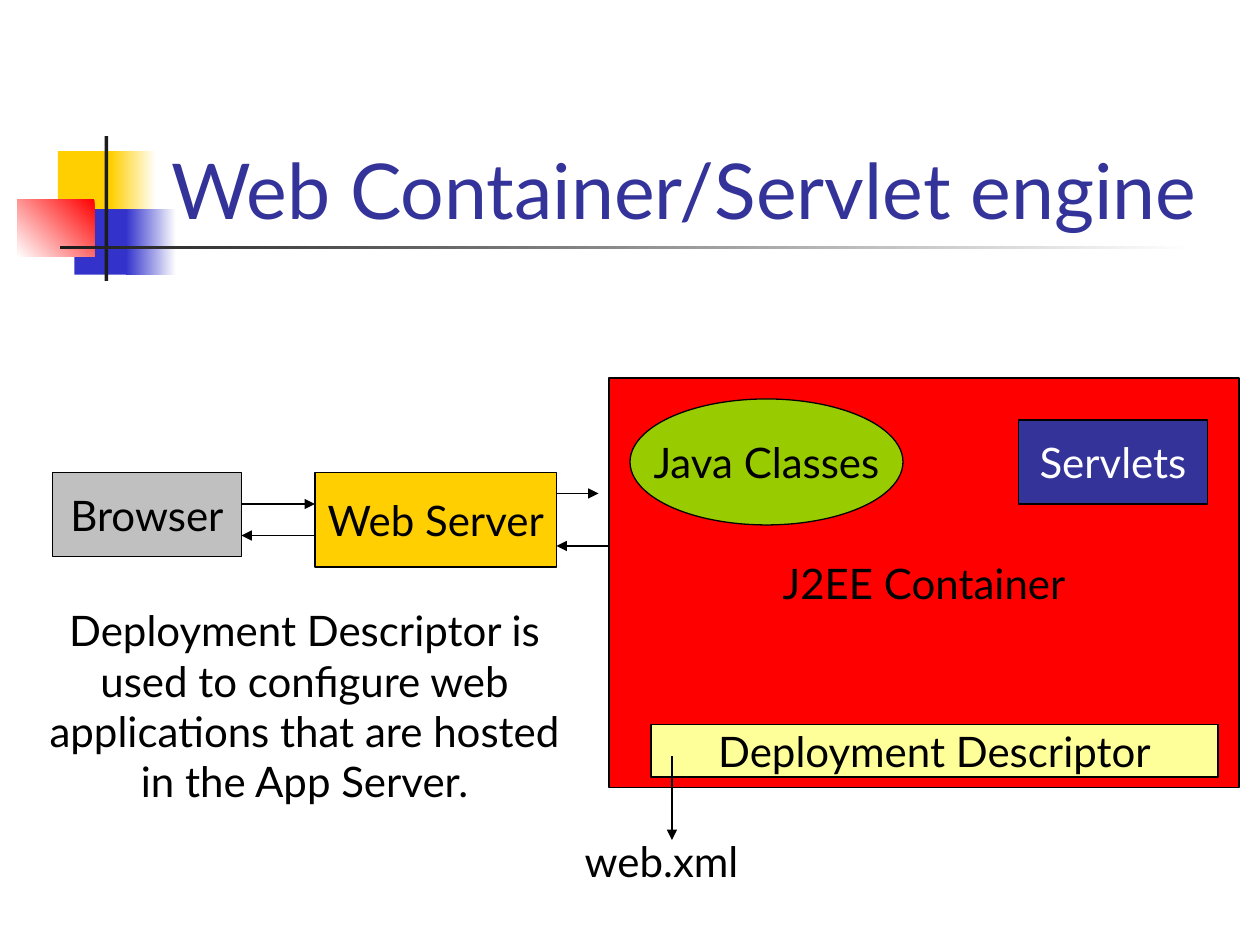
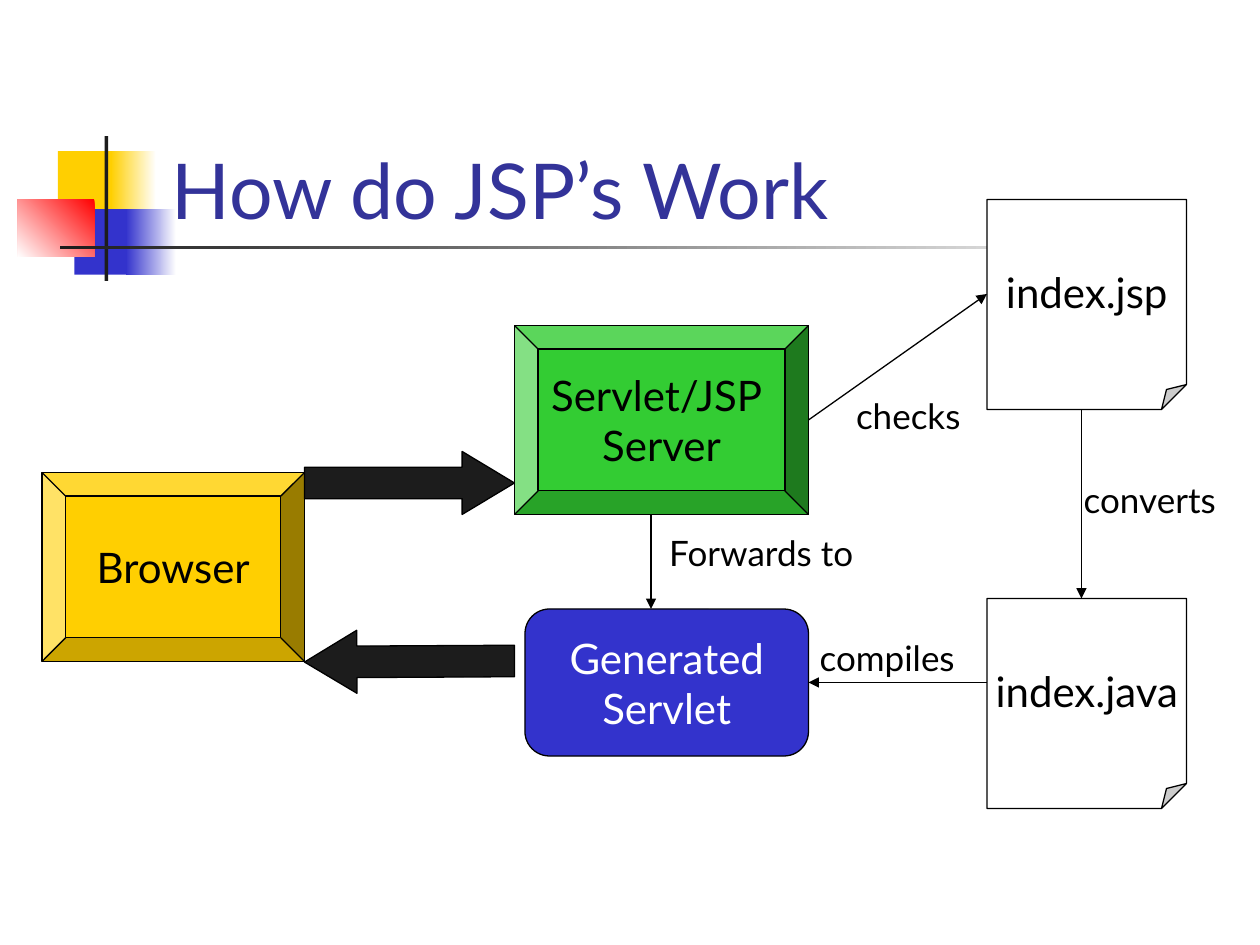
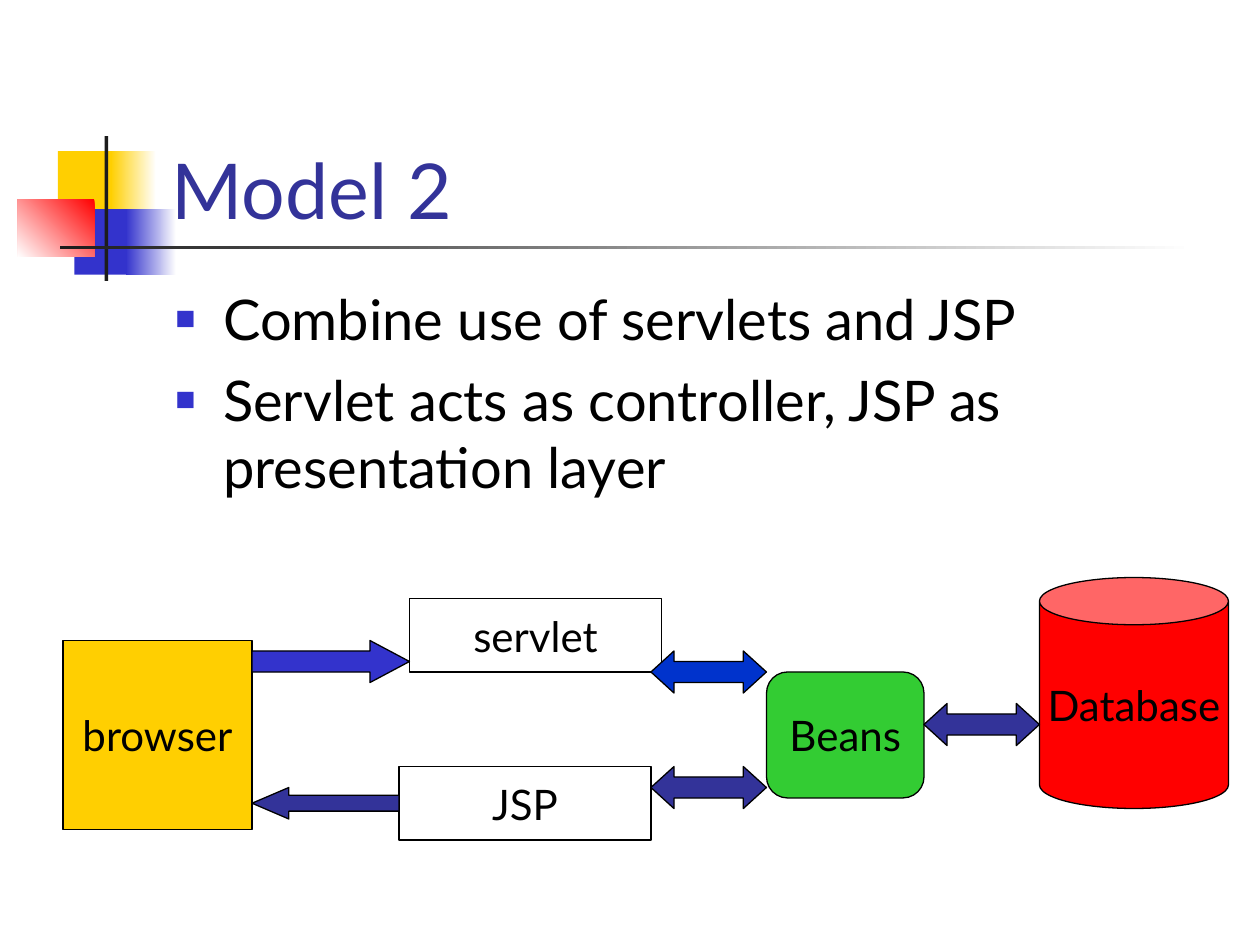
from lxml import etree
from pptx import Presentation
from pptx import util as u
from pptx.dml.color import RGBColor
from pptx.enum import shapes, text
from pptx.oxml.ns import qn

# Grid: 120 columns by 90 rows, so one cell is a twelfth of an inch
COLS, ROWS = 120, 90
CELL = u.Inches(10) // COLS
FONT = "Lato"
C = {
    "white": "FFFFFF", "black": "000000", "ink": "1C1C1C", "grey": "C0C0C0",
    "gold": "FFCF01", "pale": "FFFF99", "red": "FF0000", "green": "33CC33",
    "lime": "99CC00", "blue": "3333CC", "navy": "333399", "azure": "0033CC",
}
KIND = shapes.MSO_SHAPE
ALIGN = text.PP_ALIGN
ANCHOR = text.MSO_ANCHOR


def rgb(name):
    return RGBColor.from_string(C[name])


def cells(*values):
    return [round(v * CELL) for v in values]


def place(sp, box):
    for name, value in zip(("left", "top", "width", "height"), cells(*box)):
        setattr(sp, name, value)


def style_font(font, size, color):
    for name, value in {"name": FONT, "size": u.Pt(size)}.items():
        setattr(font, name, value)
    font.color.rgb = rgb(color)


def write(tf, lines, size=24, color="black", align=ALIGN.CENTER,
          anchor=ANCHOR.TOP, wrap=True):
    """Fill a text frame, one paragraph for each line."""
    settings = {"word_wrap": wrap, "vertical_anchor": anchor,
                "auto_size": text.MSO_AUTO_SIZE.NONE}
    for name, value in settings.items():
        setattr(tf, name, value)
    for i, line in enumerate(lines):
        p = tf.paragraphs[0] if i == 0 else tf.add_paragraph()
        p.alignment = align
        p.space_before = u.Pt(0)
        r = p.add_run()
        r.text = line
        style_font(r.font, size, color)


def outline(line):
    line.color.rgb = rgb("black")
    line.width = u.Pt(0.75)


def adjust(sp, values):
    """Set the preset's guides: adj alone, or adj1, adj2 and so on."""
    guides = sp.element.spPr.find(qn("a:prstGeom")).find(qn("a:avLst"))
    for guide in list(guides):
        guides.remove(guide)
    for i, value in enumerate(values, 1):
        name = f"adj{i}" if len(values) > 1 else "adj"
        etree.SubElement(guides, qn("a:gd"), name=name,
                         fmla=f"val {round(value * 100000)}")


# Elements of the diagrams
def node(s, kind, box, fill, *lines, color="black", adj=(), rotation=0):
    sp = s.shapes.add_shape(kind, *cells(*box))
    sp.shadow.inherit = False
    sp.fill.solid()
    sp.fill.fore_color.rgb = rgb(fill)
    outline(sp.line)
    if adj:
        adjust(sp, adj)
    sp.rotation = rotation
    if lines:
        write(sp.text_frame, lines, color=color, anchor=ANCHOR.MIDDLE, wrap=False)
    return sp


def arrow(s, start, end):
    line = s.shapes.add_connector(shapes.MSO_CONNECTOR.STRAIGHT,
                                  *cells(*start, *end))
    outline(line.line)
    sppr = line.element.spPr
    etree.SubElement(sppr.find(qn("a:ln")), qn("a:tailEnd"), type="triangle")
    etree.SubElement(sppr, qn("a:effectLst"))
    return line


def label(s, box, content, size=24):
    sp = s.shapes.add_textbox(*cells(*box))
    write(sp.text_frame, [content], size)


def bullets(sp, lines):
    place(sp, (15.5, 26.5, 102, 54))
    write(sp.text_frame, lines, size=32, align=ALIGN.LEFT)
    for i, p in enumerate(sp.text_frame.paragraphs):
        p.space_before = u.Pt(8 if i else 0)
        ppr = p._p.get_or_add_pPr()
        indent = u.Inches(0.38)
        ppr.set("marL", str(indent))
        ppr.set("indent", str(-indent))
        color = etree.SubElement(ppr, qn("a:buClr"))
        etree.SubElement(color, qn("a:srgbClr"), val=C["blue"])
        etree.SubElement(ppr, qn("a:buSzPct"), val="60000")
        etree.SubElement(ppr, qn("a:buChar"), char="■")


# Shared look
def add_motif(prs, s):
    """Build the squares and rules on a slide, then hand them to the master."""
    motif = [  # left, top, width, height in inches; colours; angle
        (0.46, 1.2, 0.48, 0.52, ["gold"], 0),
        (0.88, 1.2, 0.36, 0.52, ["white", "gold"], 180),
        (0.59, 1.66, 0.46, 0.52, ["blue"], 0),
        (1, 1.66, 0.4, 0.52, ["white", "blue"], 180),
        (0.14, 1.58, 0.61, 0.46, ["red", "white"], 225),
        (0.83, 1.08, 0.03, 1.15, ["ink"], 0),
        (0.48, 1.95, 9, 0.03, ["white", "ink"], 180),
    ]
    tree = prs.slide_master.shapes.element
    for i, (*box, colors, angle) in enumerate(motif):
        sp = s.shapes.add_shape(KIND.RECTANGLE, *map(u.Inches, box))
        sp.shadow.inherit = False
        sp.line.fill.background()
        if len(colors) == 1:
            sp.fill.solid()
            sp.fill.fore_color.rgb = rgb(colors[0])
        else:
            sp.fill.gradient()
            sp.fill.gradient_angle = angle
            for stop, color in zip(sp.fill.gradient_stops, colors):
                stop.color.rgb = rgb(color)
        tree.insert(2 + i, sp.element)


def new_slide(prs, title, layout=5):
    s = prs.slides.add_slide(prs.slide_layouts[layout])
    place(s.shapes.title, (15.12, 8, 102.24, 15))
    write(s.shapes.title.text_frame, [title], 44, "navy", ALIGN.LEFT,
          ANCHOR.BOTTOM)
    return s


# Slides
def container_slide(prs):
    s = new_slide(prs, "Web Container/Servlet engine")
    add_motif(prs, s)
    rect = KIND.RECTANGLE
    node(s, rect, (58, 36, 60, 39), "red", "J2EE Container")
    node(s, rect, (5, 45, 18, 8), "grey", "Browser")
    node(s, rect, (97, 40, 18, 8), "navy", "Servlets", color="white")
    node(s, rect, (30, 45, 23, 9), "gold", "Web Server")
    node(s, rect, (62, 69, 54, 5), "pale", "Deployment Descriptor")
    node(s, KIND.OVAL, (60, 38, 26, 12), "lime", "Java Classes")
    for start, end in [((23, 48), (30, 48)), ((30, 51), (23, 51)),
                       ((53, 47), (57, 47)), ((58, 52), (53, 52)),
                       ((64, 72), (64, 80))]:
        arrow(s, start, end)
    label(s, (52, 79, 22, 6), "web.xml")
    label(s, (3, 57, 52, 20.4), "Deployment Descriptor is used to configure "
          "web applications that are hosted in the App Server.")


def jsp_slide(prs):
    s = new_slide(prs, "How do JSP’s Work")
    node(s, KIND.BEVEL, (4, 45, 25, 18), "gold", "Browser", adj=[0.125])
    node(s, KIND.BEVEL, (49, 31, 28, 18), "green", "Servlet/JSP ", "Server",
         adj=[0.125])
    for top, rotation in [(43, 0), (60, 179.7)]:
        node(s, KIND.RIGHT_ARROW, (29, top, 20, 6), "ink", adj=[0.5, 0.83],
             rotation=rotation)
    servlet = node(s, KIND.ROUNDED_RECTANGLE, (50, 58, 27, 14), "blue",
                   "Generated", "Servlet", color="white", adj=[0.167])
    for top, name in [(19, "index.jsp"), (57, "index.java")]:
        node(s, KIND.FOLDED_CORNER, (94, top, 19, 20), "white", name, adj=[0.125])
    for start, end in [((77, 40), (94, 28)), ((103, 39), (103, 57)),
                       ((62, 49), (62, 58))]:
        arrow(s, start, end)
    arrow(s, (94, 65), (77, 65)).end_connect(servlet, 3)
    for left, top, step in [(74, 60, "compiles"), (76, 37, "checks"),
                            (99, 45, "converts"), (62, 50, "Forwards to")]:
        label(s, (left, top, 21, 5.3), step, size=20)


def model_slide(prs):
    s = new_slide(prs, "Model 2", layout=1)
    bullets(s.placeholders[1], ["Combine use of servlets and JSP",
                                "Servlet acts as controller, JSP as presentation layer"])
    node(s, KIND.RECTANGLE, (6, 61, 18, 18), "gold", "browser")
    node(s, KIND.RECTANGLE, (39, 57, 24, 7), "white", "servlet")
    node(s, KIND.RECTANGLE, (38, 73, 24, 7), "white", "JSP")
    node(s, KIND.ROUNDED_RECTANGLE, (73, 64, 15, 12), "green", "Beans", adj=[0.167])
    node(s, KIND.CAN, (99, 55, 18, 22), "red", "Database", adj=[0.25])
    node(s, KIND.LEFT_ARROW, (24, 75, 14, 3), "navy", adj=[0.5, 1.17])
    node(s, KIND.RIGHT_ARROW, (24, 61, 15, 4), "blue", adj=[0.5, 0.94])
    for left, top, fill in [(62, 73, "navy"), (62, 62, "azure"), (88, 67, "navy")]:
        node(s, KIND.LEFT_RIGHT_ARROW, (left, top, 11, 4), fill, adj=[0.5, 0.55])


def main():
    prs = Presentation()
    prs.slide_width, prs.slide_height = cells(COLS, ROWS)
    container_slide(prs)
    jsp_slide(prs)
    model_slide(prs)
    prs.save("out.pptx")


if __name__ == "__main__":
    main()
